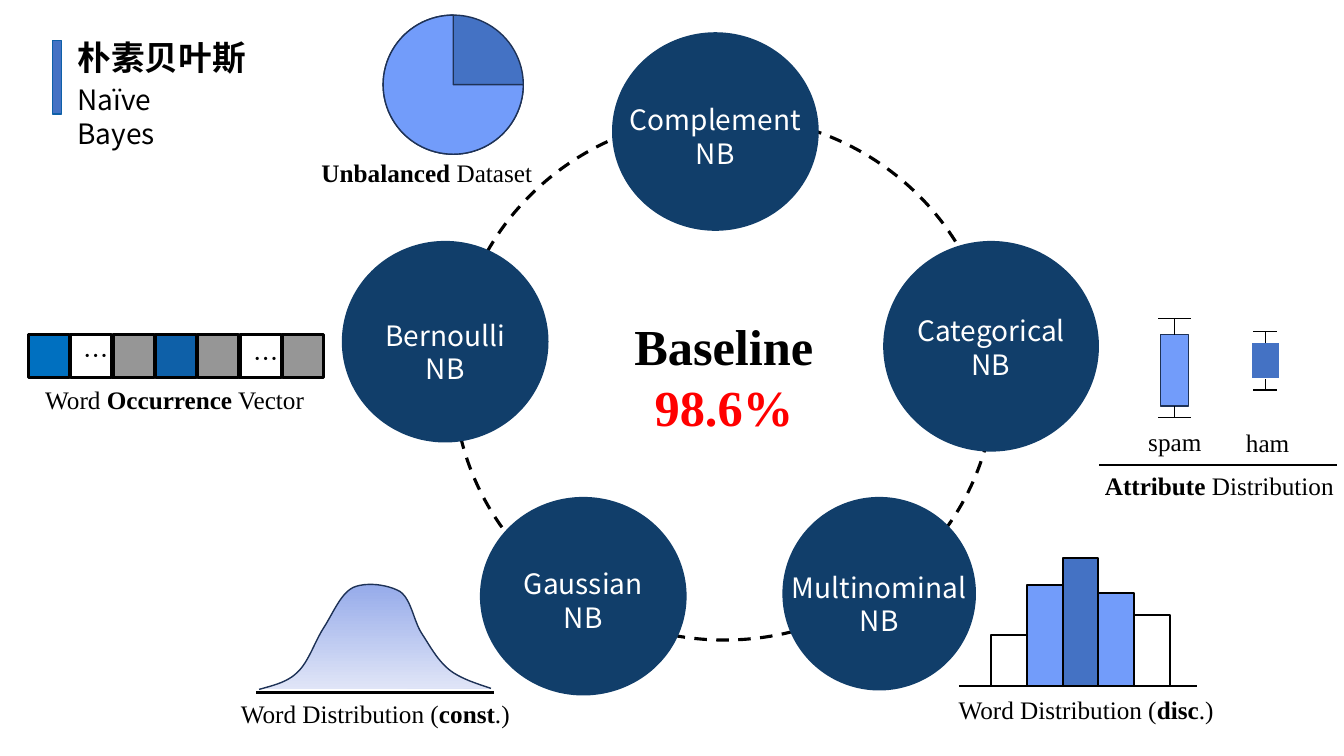
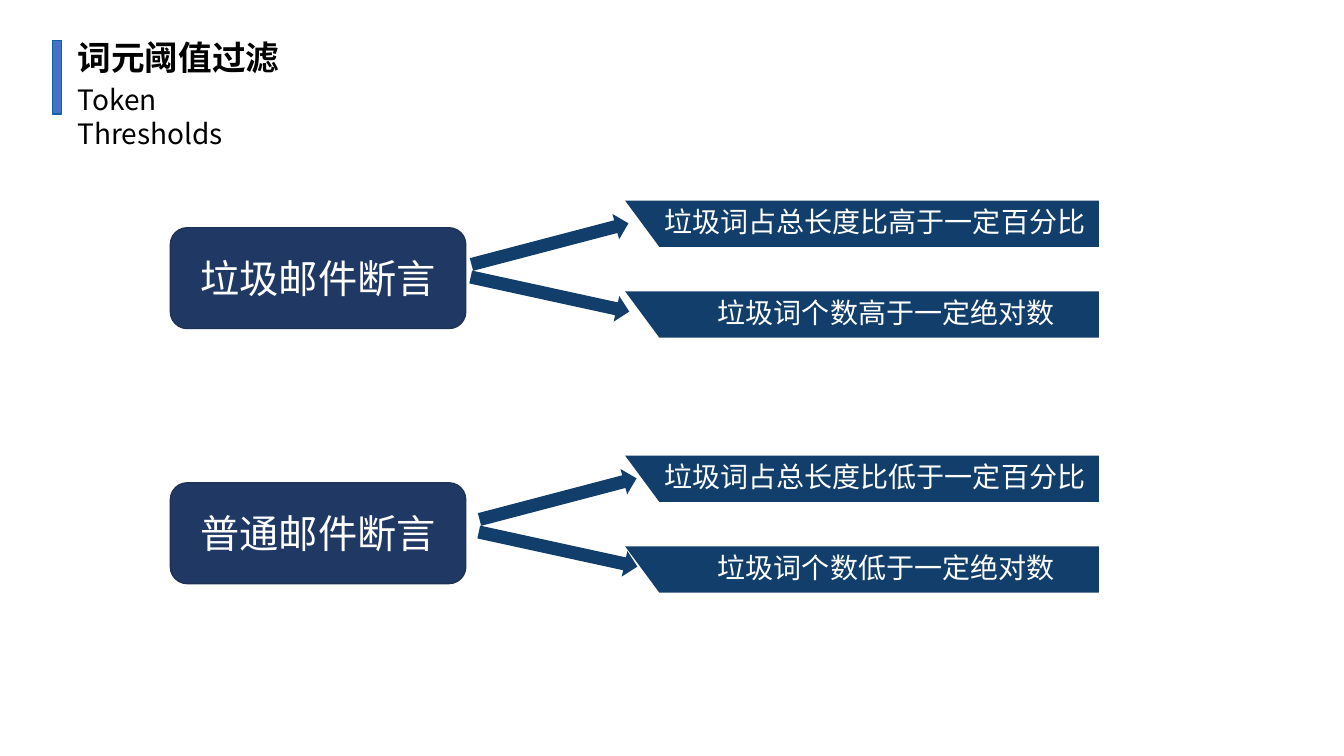
from lxml import etree
from pptx import Presentation
from pptx.dml.color import RGBColor
from pptx.enum.dml import MSO_LINE
from pptx.enum.shapes import MSO_CONNECTOR, MSO_SHAPE as SHAPE
from pptx.enum.text import MSO_ANCHOR as ANCHOR, MSO_AUTO_SIZE, PP_ALIGN as ALIGN
from pptx.oxml.ns import qn
from pptx.util import Inches, Pt

SANS, SERIF = "Noto Sans CJK SC", "Times New Roman"
BLACK, WHITE, RED = "000000", "FFFFFF", "FF0000"
NAVY, DARK, OUTLINE = "113E6A", "203864", "1E3256"
MID, LIGHT, STRONG = "4472C4", "729CFA", "0E60A8"
GREY, BRIGHT = "969696", "0070C0"
rgb = RGBColor.from_string


def style(sp, fill=None, line=None, width=1):
    sp.shadow.inherit = False
    if fill:
        sp.fill.solid()
        sp.fill.fore_color.rgb = rgb(fill)
    else:
        sp.fill.background()
    if line:
        sp.line.color.rgb = rgb(line)
        sp.line.width = Pt(width)
    else:
        sp.line.fill.background()
    return sp


def write(tf, lines, font=SERIF, size=18, color=BLACK, bold=False,
          align=ALIGN.LEFT, **frame):
    """Fill a text frame, one paragraph per line; **marked** parts are bold."""
    frame = {"word_wrap": False, "auto_size": MSO_AUTO_SIZE.NONE,
             "vertical_anchor": ANCHOR.TOP, **frame}
    for name, value in frame.items():
        setattr(tf, name, value)
    for i, line in enumerate(lines):
        p = tf.add_paragraph() if i else tf.paragraphs[0]
        p.alignment = align
        for j, part in enumerate(line.split("**")):
            if not part:
                continue
            r = p.add_run()
            r.text = part
            values = {"name": font, "size": Pt(size), "bold": bold or j % 2 == 1}
            for name, value in values.items():
                setattr(r.font, name, value)
            r.font.color.rgb = rgb(color)
            ea = etree.SubElement(r._r.get_or_add_rPr(), qn("a:ea"))
            ea.set("typeface", font)


prs = Presentation()
prs.slide_width, prs.slide_height = Inches(13.33), Inches(7.5)

# Shared heading: accent bar, title and English subtitle
slides = []
for title, subtitle, width in [("朴素贝叶斯", "Naïve Bayes", 1.65),
                               ("词元阈值过滤", "Token Thresholds", 2.3)]:
    s = prs.slides.add_slide(prs.slide_layouts[5])
    slides.append(s.shapes)
    bar = s.shapes.add_shape(SHAPE.RECTANGLE, Inches(0.52), Inches(0.4),
                             Inches(0.09), Inches(0.73))
    style(bar, MID, STRONG)
    sp = s.shapes.title
    sp.left, sp.top = Inches(0.67), Inches(0.32)
    sp.width, sp.height = Inches(2.3), Inches(0.5)
    write(sp.text_frame, [title], SANS, 24, bold=True)
    sp = s.shapes.add_textbox(Inches(0.67), Inches(0.77), Inches(width), Inches(0.77))
    write(sp.text_frame, [subtitle], SANS, 20, word_wrap=True)

# Slide 1: ring of classifiers
shapes = slides[0]
ring = shapes.add_shape(SHAPE.OVAL, Inches(4.5), Inches(1.15), Inches(5.37), Inches(5.2))
style(ring, None, BLACK, 2.25).line.dash_style = MSO_LINE.DASH

classifiers = [  # name, left, top, width, height, text drop
    ("Bernoulli", 3.39, 2.39, 2.05, 2, 0.1),
    ("Categorical", 8.76, 2.39, 2.14, 2.09, 0.01),
    ("Gaussian", 4.76, 4.93, 2.05, 1.97, 0.04),
    ("Multinominal", 7.76, 4.93, 1.92, 1.92, 0.1),
    ("Complement", 6.07, 0.32, 2.05, 1.97, 0.05),
]
for name, x, y, w, h, drop in classifiers:
    sp = shapes.add_shape(SHAPE.OVAL, Inches(x), Inches(y), Inches(w), Inches(h))
    style(sp, NAVY)
    write(sp.text_frame, [name, "NB"], SANS, 20, WHITE, align=ALIGN.CENTER,
          vertical_anchor=ANCHOR.MIDDLE, margin_top=Inches(2 * drop), margin_bottom=0)

sp = shapes.add_textbox(Inches(6.18), Inches(3.08), Inches(2), Inches(1.31))
write(sp.text_frame, ["Baseline", "98.6%"], size=36, bold=True, align=ALIGN.CENTER)
sp.text_frame.paragraphs[1].runs[0].font.color.rgb = rgb(RED)

# Unbalanced dataset: the default pie leaves the top right quarter open
for kind, color in [(SHAPE.OVAL, MID), (SHAPE.PIE, LIGHT)]:
    sp = shapes.add_shape(kind, Inches(3.8), Inches(0.15), Inches(1.39), Inches(1.38))
    style(sp, color, OUTLINE)

# Word occurrence vector
for i, color in enumerate([BRIGHT, None, GREY, STRONG, GREY, None, GREY]):
    sp = shapes.add_shape(SHAPE.RECTANGLE, Inches(0.28 + 0.42 * i), Inches(3.32),
                          Inches(0.41), Inches(0.43))
    style(sp, color, BLACK, 2.25)
for x, y in [(0.73, 3.33), (2.42, 3.36)]:
    sp = shapes.add_textbox(Inches(x), Inches(y), Inches(0.38), Inches(0.4))
    write(sp.text_frame, ["…"], SANS)

# Continuous distribution: Bezier knots and handles, sampled into a bell outline
bell = [(2.57, 6.84), (2.71, 6.8), (2.85, 6.77), (2.95, 6.67), (3.06, 6.57),
        (3.12, 6.37), (3.21, 6.23), (3.3, 6.09), (3.38, 5.89), (3.5, 5.83),
        (3.63, 5.77), (3.85, 5.8), (3.97, 5.87), (4.08, 5.95), (4.1, 6.15),
        (4.18, 6.28), (4.26, 6.4), (4.33, 6.54), (4.45, 6.64), (4.56, 6.73),
        (4.72, 6.78), (4.87, 6.83)]
STEPS = 12
outline = []
for i in range(0, len(bell) - 1, 3):
    for step in range(1, STEPS + 1):
        t = step / STEPS
        weights = ((1 - t) ** 3, 3 * t * (1 - t) ** 2, 3 * t * t * (1 - t), t ** 3)
        outline.append([Inches(sum(w * pt[axis] for w, pt in zip(weights, bell[i:i + 4])))
                        for axis in (0, 1)])
builder = shapes.build_freeform(Inches(bell[0][0]), Inches(bell[0][1]))
builder.add_line_segments(outline, close=False)
sp = style(builder.convert_to_shape(), None, OUTLINE)
sp.fill.gradient()
sp.fill.gradient_angle = 270
for stop, color in zip(sp.fill.gradient_stops, ["96ABEA", "E0E5F7"]):
    stop.color.rgb = rgb(color)

# Discrete distribution: bars standing on one base line
BASE = 6.81
bars = [(0.51, None), (1.01, LIGHT), (1.27, MID), (0.93, LIGHT), (0.71, None)]
for i, (h, color) in enumerate(bars):
    sp = shapes.add_shape(SHAPE.RECTANGLE, Inches(9.83 + 0.355 * i), Inches(BASE - h),
                          Inches(0.355), Inches(h))
    style(sp, color, BLACK, 1.5)

lines = [(2.54, 6.87, 4.9, 6.87, 1.5), (9.51, BASE, 11.87, BASE, 1.5),
         (10.9, 4.61, 13.26, 4.61, 1.5)]

# Attribute distribution: box plots with whiskers
box_plots = [  # centre, half cap, upper cap, box top, box bottom, lower cap
    (11.65, 0.16, 3.16, 3.32, 4.03, 4.14, LIGHT, OUTLINE),
    (12.55, 0.12, 3.29, 3.4, 3.76, 3.87, MID, WHITE),
]
for x, cap, high, top, bottom, low, fill, edge in box_plots:
    sp = shapes.add_shape(SHAPE.RECTANGLE, Inches(x - 0.14), Inches(top),
                          Inches(0.28), Inches(bottom - top))
    style(sp, fill, edge)
    for end, side in [(high, top), (low, bottom)]:
        lines += [(x - cap, end, x + cap, end, 1), (x, end, x, side, 1)]

for x1, y1, x2, y2, width in lines:
    c = shapes.add_connector(MSO_CONNECTOR.STRAIGHT, Inches(x1), Inches(y1),
                             Inches(x2), Inches(y2))
    c.line.color.rgb = rgb(BLACK)
    c.line.width = Pt(width)
    etree.SubElement(c._element.spPr, qn("a:effectLst"))

captions = [
    ("**Unbalanced** Dataset", 3.09, 1.51, 2.31),
    ("Word **Occurrence** Vector", 0.35, 3.76, 2.8),
    ("Word Distribution (**const**.)", 2.29, 6.88, 2.9),
    ("Word Distribution (**disc**.)", 9.41, 6.84, 2.86),
    ("**Attribute** Distribution", 10.86, 4.62, 2.57),
    ("spam", 11.29, 4.18, 0.73),
    ("ham", 12.26, 4.19, 0.64),
]
for text, x, y, w in captions:
    sp = shapes.add_textbox(Inches(x), Inches(y), Inches(w), Inches(0.4))
    write(sp.text_frame, [text])

# Slide 2: each verdict points to its two conditions
shapes = slides[1]
verdicts = [  # name, comparison, top, arrow left
    ("垃圾邮件断言", "高于", 2.26, 4.65),
    ("普通邮件断言", "低于", 4.79, 4.73),
]
for verdict, comparison, top, arrow_x in verdicts:
    sp = shapes.add_shape(SHAPE.ROUNDED_RECTANGLE, Inches(1.69), Inches(top),
                          Inches(2.93), Inches(1))
    style(sp, DARK, OUTLINE)
    write(sp.text_frame, [verdict], SANS, 28, WHITE, align=ALIGN.CENTER,
          vertical_anchor=ANCHOR.MIDDLE)

    conditions = [  # text, indent, banner offset, arrow offset, arrow angle
        (f"垃圾词占总长度比{comparison}一定百分比", 0.39, -0.27, 0.03, -14.7),
        (f"垃圾词个数{comparison}一定绝对数", 0.92, 0.63, 0.53, 12.3),
    ]
    for text, indent, banner_dy, arrow_dy, angle in conditions:
        y = top + banner_dy
        builder = shapes.build_freeform(Inches(6.2), Inches(y))
        builder.add_line_segments([(Inches(px), Inches(py)) for px, py in
                                   [(10.9, y), (10.9, y + 0.46), (6.54, y + 0.46)]])
        sp = style(builder.convert_to_shape(), NAVY)
        write(sp.text_frame, [text], SANS, 20, WHITE, vertical_anchor=ANCHOR.MIDDLE,
              margin_left=Inches(indent), margin_right=0,
              margin_top=0, margin_bottom=Inches(0.04))
        sp = shapes.add_shape(SHAPE.RIGHT_ARROW, Inches(arrow_x), Inches(top + arrow_dy),
                              Inches(1.61), Inches(0.26))
        style(sp, NAVY).rotation = angle

prs.save("out.pptx")
